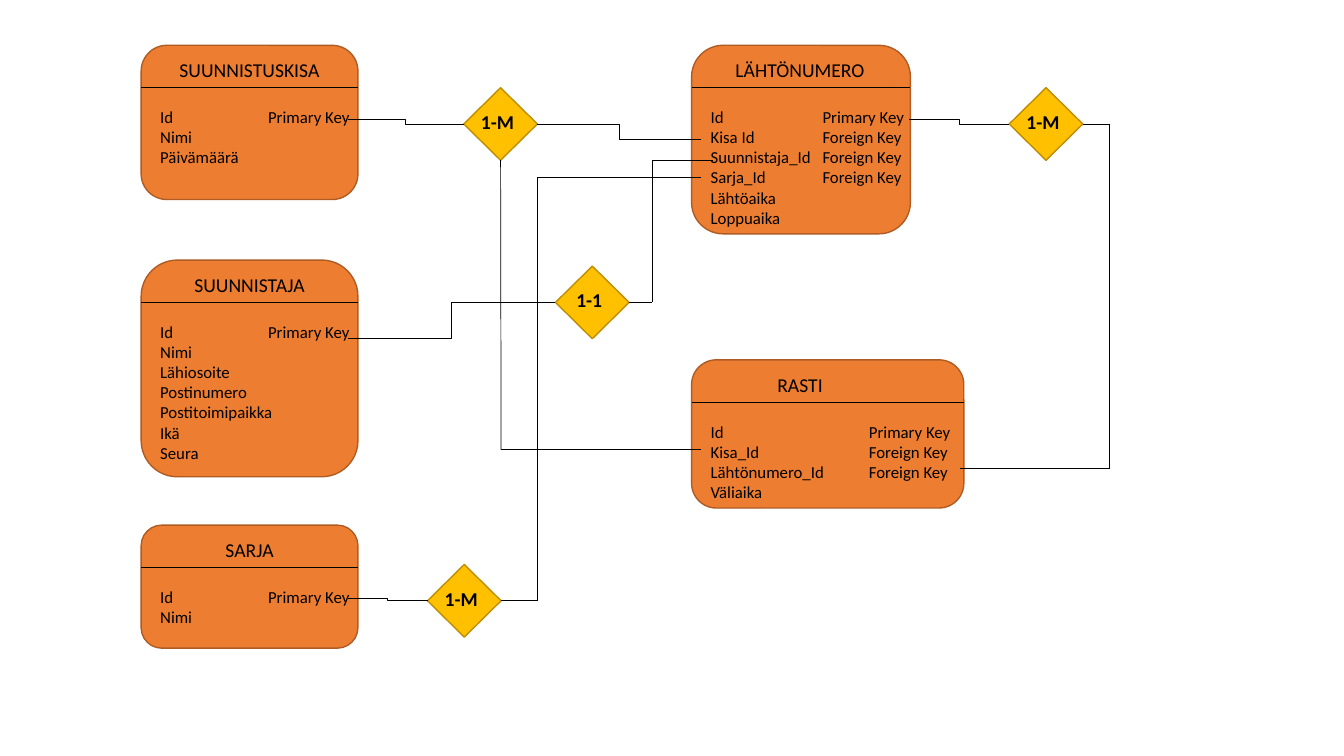
"""Build the entity-relationship diagram of an orienteering competition database."""
from lxml.etree import SubElement
from pptx import Presentation
from pptx.dml.color import RGBColor
from pptx.enum.shapes import MSO_CONNECTOR, MSO_SHAPE
from pptx.enum.text import PP_ALIGN
from pptx.oxml.ns import qn
from pptx.util import Inches, Pt

THEME = {
    "font": "Calibri", "ink": "000000",
    "entity": ("ED7D31", "AF5C24"), "relation": ("FFC000", "BD8E00"),
    "heading": 14, "body": 12, "edge": 1, "rule": 0.5,
}
LEFT_COLUMN, RIGHT_COLUMN = 1.4, 6.86
ENTITY_WIDTH = 2.15
RULE_DROP, HEADING_DROP, FIELDS_DROP = 0.42, 0.08, 0.56
DIAMOND_WIDTH, DIAMOND_HEIGHT = 0.73, 0.72
TOP, LEFT, BOTTOM, RIGHT = range(4)
PRIMARY, FOREIGN = "\tPrimary Key", "\tForeign Key"

ENTITIES = [
    ("SUUNNISTAJA", LEFT_COLUMN, 2.58, ENTITY_WIDTH, 2.15, 1.07,
     ["Id" + PRIMARY, "Nimi", "Lähiosoite", "Postinumero", "Postitoimipaikka", "Ikä", "Seura"]),
    ("SUUNNISTUSKISA", LEFT_COLUMN, 0.45, ENTITY_WIDTH, 1.53, 1.07,
     ["Id" + PRIMARY, "Nimi", "Päivämäärä"]),
    ("RASTI", RIGHT_COLUMN, 3.57, 2.7, 1.47, 1.57,
     ["Id" + PRIMARY, "Kisa_Id" + FOREIGN, "Lähtönumero_Id" + FOREIGN, "Väliaika"]),
    ("LÄHTÖNUMERO", RIGHT_COLUMN, 0.45, 2.17, 1.87, 1.11,
     ["Id" + PRIMARY, "Kisa Id" + FOREIGN, "Suunnistaja_Id" + FOREIGN,
      "Sarja_Id" + FOREIGN, "Lähtöaika", "Loppuaika"]),
    ("SARJA", LEFT_COLUMN, 5.21, ENTITY_WIDTH, 1.22, 1.07, ["Id" + PRIMARY, "Nimi"]),
]
RELATIONS = {
    "kisa": ("1-M", 4.6, 0.87), "suunnistaja": ("1-1", 5.51, 2.64),
    "sarja": ("1-M", 4.24, 5.6), "rasti": ("1-M", 10.01, 0.87),
}
ELBOWS = [
    ((3.45, 1.18), ("kisa", LEFT)),
    (("kisa", RIGHT), (6.95, 1.38)),
    ((3.45, 3.36), ("suunnistaja", LEFT)),
    ((3.45, 5.94), ("sarja", LEFT)),
    ((9.02, 1.18), ("rasti", LEFT)),
]
ROUTES = [
    [("kisa", BOTTOM), (4.97, 4.46), (6.95, 4.46)],
    [("suunnistaja", RIGHT), (6.47, 3), (6.47, 1.59), (7.07, 1.59)],
    [("sarja", RIGHT), (5.33, 5.96), (5.33, 1.76), (6.95, 1.76)],
    [("rasti", RIGHT), (11, 1.23), (11, 4.65), (9.52, 4.65)],
]

presentation = Presentation()
presentation.slide_width, presentation.slide_height = Inches(13.33), Inches(7.5)
slide = presentation.slides.add_slide(presentation.slide_layouts[6])
diamonds, corners = {}, {}


def write(lines, left, top, width, height, size, bold=False, align=PP_ALIGN.LEFT, tab=None):
    frame = slide.shapes.add_textbox(*map(Inches, (left, top, width, height))).text_frame
    frame.word_wrap = True
    frame.text = "\n".join(lines)
    for paragraph in frame.paragraphs:
        paragraph.alignment = align
        if tab:
            stops = SubElement(paragraph._p.get_or_add_pPr(), qn("a:tabLst"))
            SubElement(stops, qn("a:tab"), pos=str(Inches(tab)), algn="l")
        for run in paragraph.runs:
            run.font.name, run.font.size, run.font.bold = THEME["font"], Pt(size), bold
            run.font.color.rgb = RGBColor.from_string(THEME["ink"])


def draw_line(start, end, kind=MSO_CONNECTOR.STRAIGHT):
    points = corners.get(start, start) + corners.get(end, end)
    line = slide.shapes.add_connector(kind, *map(Inches, points))
    line.line.width = Pt(THEME["rule"])
    line.line.color.rgb = RGBColor.from_string(THEME["ink"])
    SubElement(line._element.spPr, qn("a:effectLst"))
    for node, join in ((start, line.begin_connect), (end, line.end_connect)):
        if node in corners:
            join(diamonds[node[0]], node[1])


outlines = [(name, MSO_SHAPE.ROUNDED_RECTANGLE, "entity", box)
            for name, *box, _, _ in ENTITIES]
outlines += [(name, MSO_SHAPE.DIAMOND, "relation", (left, top, DIAMOND_WIDTH, DIAMOND_HEIGHT))
             for name, (_, left, top) in RELATIONS.items()]
for name, preset, role, box in outlines:
    outline = slide.shapes.add_shape(preset, *map(Inches, box))
    outline.shadow.inherit = False
    fill, edge = map(RGBColor.from_string, THEME[role])
    outline.fill.solid()
    outline.fill.fore_color.rgb = fill
    outline.line.color.rgb = edge
    outline.line.width = Pt(THEME["edge"])
    if role == "relation":
        diamonds[name] = outline

for heading, left, top, width, height, key_tab, fields in ENTITIES:
    draw_line((left, top + RULE_DROP), (left + width, top + RULE_DROP))
    write([heading], left, top + HEADING_DROP, ENTITY_WIDTH, 0.34,
          THEME["heading"], align=PP_ALIGN.CENTER)
    write(fields, left + 0.09, top + FIELDS_DROP, width, 0.1 + 0.2 * len(fields),
          THEME["body"], tab=key_tab)

for name, (ratio, left, top) in RELATIONS.items():
    write([ratio], left - 0.03, top + 0.17, DIAMOND_WIDTH, 0.34,
          THEME["heading"], bold=True, align=PP_ALIGN.CENTER)
    middle, centre = left + DIAMOND_WIDTH / 2, top + DIAMOND_HEIGHT / 2
    corners[name, LEFT] = (left, centre)
    corners[name, BOTTOM] = (middle, top + DIAMOND_HEIGHT)
    corners[name, RIGHT] = (left + DIAMOND_WIDTH, centre)

for start, end in ELBOWS:
    draw_line(start, end, MSO_CONNECTOR.ELBOW)
for route in ROUTES:
    for start, end in zip(route, route[1:]):
        draw_line(start, end)

presentation.save("out.pptx")
